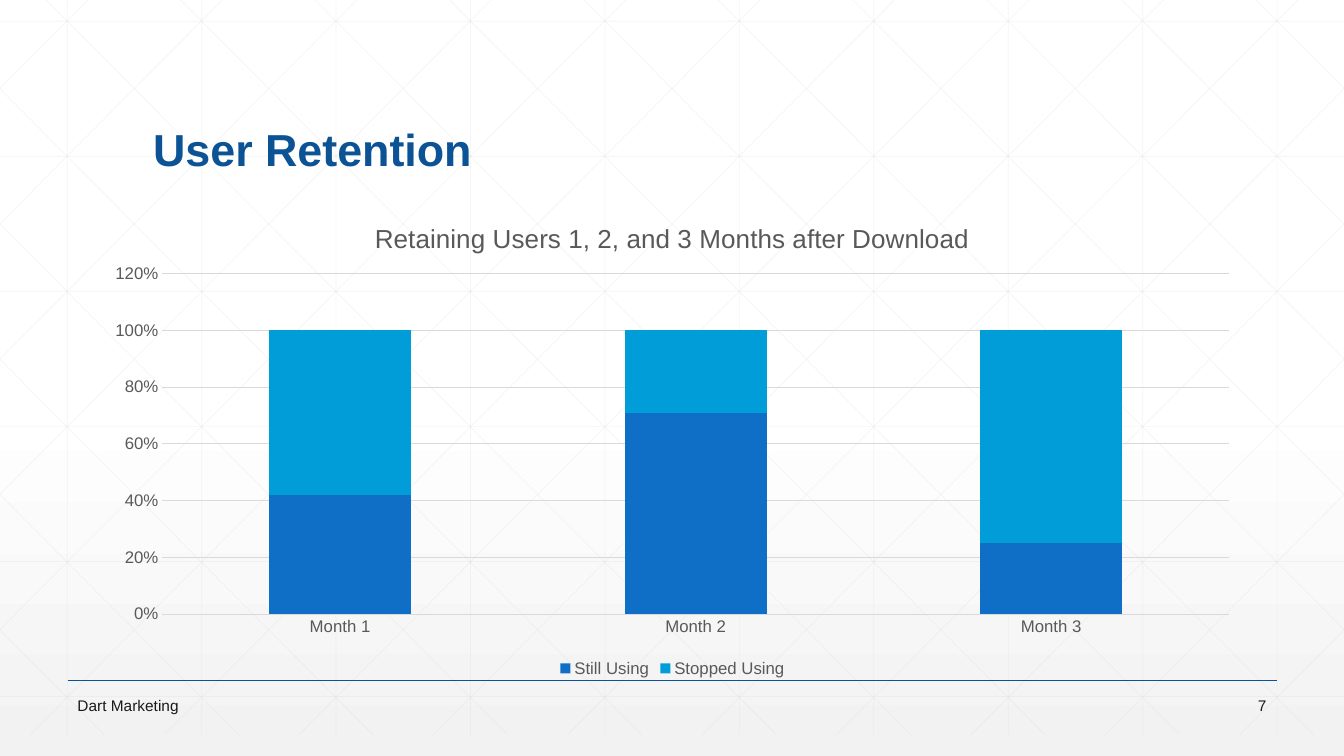
import copy

import pptx
import pptx.chart.data
import pptx.dml.color
import pptx.enum.chart
import pptx.enum.shapes
import pptx.enum.text
import pptx.oxml
import pptx.oxml.ns
import pptx.util

Inches = pptx.util.Inches
Pt = pptx.util.Pt
RGBColor = pptx.dml.color.RGBColor
qn = pptx.oxml.ns.qn
Align = pptx.enum.text.PP_ALIGN
Anchor = pptx.enum.text.MSO_ANCHOR

HEADING = "User Retention"
FOOTER = "Dart Marketing"
PAGE = "7"
CHART_TITLE = "Retaining Users 1, 2, and 3 Months after Download"
MONTHS = ["Month 1", "Month 2", "Month 3"]

NAVY = RGBColor(0x0B, 0x53, 0x94)
BLUE = RGBColor(0x0F, 0x6F, 0xC6)
CYAN = RGBColor(0x00, 0x9D, 0xD9)
INK = RGBColor(0x1A, 0x1A, 0x1A)
GRAY = RGBColor(0x59, 0x59, 0x59)
RULE = RGBColor(0xD9, 0xD9, 0xD9)
WHITE = RGBColor(0xFF, 0xFF, 0xFF)
PALE = RGBColor(0xF2, 0xF2, 0xF2)

USAGE = [
    ("Still Using", [0.42, 0.71, 0.25], BLUE),
    ("Stopped Using", [0.58, 0.29, 0.75], CYAN),
]
BACKDROP = [(0, WHITE), (0.53, WHITE), (1, PALE)]
PLOT_AREA = {"x": 0.06, "y": 0.15, "w": 0.92, "h": 0.71}

FONT = "Arial"
WIDTH, HEIGHT = 13.33, 7.5
MESH_TOP, MESH_BOTTOM = -0.21, 7.29
MESH_STEP = 4 / 3
MESH_RUN = 7.45

deck = pptx.Presentation()
deck.slide_width = Inches(WIDTH)
deck.slide_height = Inches(HEIGHT)
slide = deck.slides.add_slide(deck.slide_layouts[6])


def style_font(font, size, color, bold=False):
    font.name = FONT
    font.size = Pt(size)
    font.color.rgb = color
    font.bold = bold


def add_text(text, box, size, color, bold=False, align=Align.LEFT,
             anchor=Anchor.MIDDLE, spacing=None):
    frame = slide.shapes.add_textbox(*map(Inches, box)).text_frame
    frame.word_wrap = True
    frame.vertical_anchor = anchor
    paragraph = frame.paragraphs[0]
    paragraph.alignment = align
    paragraph.line_spacing = spacing
    run = paragraph.add_run()
    run.text = text
    style_font(run.font, size, color, bold)


def add_line(start, end, color, width, opacity=None):
    line = slide.shapes.add_connector(
        pptx.enum.shapes.MSO_CONNECTOR.STRAIGHT, *map(Inches, start + end))
    line.line.color.rgb = color
    line.line.width = Pt(width)
    properties = line.element.spPr
    if opacity:
        tint = properties.find(".//" + qn("a:srgbClr"))
        tint.append(pptx.oxml.parse_xml(
            f'<a:alpha {pptx.oxml.ns.nsdecls("a")} val="{opacity * 1000}"/>'))
    properties.append(pptx.oxml.parse_xml(
        f'<a:effectLst {pptx.oxml.ns.nsdecls("a")}/>'))


def paint_backdrop():
    fill = slide.background.fill
    fill.gradient()
    fill.gradient_angle = 270
    stops = slide.element.find(".//" + qn("a:gsLst"))
    stops.insert(1, copy.deepcopy(stops[0]))
    for stop, (position, color) in zip(fill.gradient_stops, BACKDROP):
        stop.position = position
        stop.color.rgb = color


def mesh_lines():
    for column in range(10):
        x = MESH_STEP * (column + 0.5)
        yield (x, MESH_TOP), (x, MESH_BOTTOM)
    for row in range(6):
        y = 0.21 + 1.34 * row
        yield (0, y), (WIDTH, y)
    slope = (MESH_BOTTOM - MESH_TOP) / MESH_RUN
    for diagonal in range(-5, 10):
        x = 0.25 + MESH_STEP * diagonal
        left, right = max(x, 0), min(x + MESH_RUN, WIDTH)
        top = MESH_TOP + (left - x) * slope
        bottom = MESH_TOP + (right - x) * slope
        yield (left, top), (right, bottom)
        yield (WIDTH - left, top), (WIDTH - right, bottom)


def add_retention_chart():
    data = pptx.chart.data.CategoryChartData(number_format="0%")
    data.categories = MONTHS
    for name, shares, _ in USAGE:
        data.add_series(name, shares)
    chart = slide.shapes.add_chart(
        pptx.enum.chart.XL_CHART_TYPE.COLUMN_STACKED,
        *map(Inches, (0.92, 2, 11.5, 4.76)), data).chart
    style_font(chart.font, 12, GRAY)

    chart.has_title = True
    heading = chart.chart_title
    heading.include_in_layout = False
    heading.text_frame.text = CHART_TITLE
    style_font(heading.text_frame.paragraphs[0].runs[0].font, 18.6, GRAY)

    chart.has_legend = True
    chart.legend.position = pptx.enum.chart.XL_LEGEND_POSITION.BOTTOM
    chart.legend.include_in_layout = False
    style_font(chart.legend.font, 12, GRAY)

    months, shares = chart.category_axis, chart.value_axis
    for axis in (months, shares):
        axis.major_tick_mark = pptx.enum.chart.XL_TICK_MARK.NONE
        axis.minor_tick_mark = pptx.enum.chart.XL_TICK_MARK.NONE
        style_font(axis.tick_labels.font, 12, GRAY)
    shares.minimum_scale, shares.maximum_scale, shares.major_unit = 0, 1.2, 0.2
    shares.tick_labels.number_format = "0%"
    shares.tick_labels.number_format_is_linked = False
    shares.format.line.fill.background()
    for line in (months.format.line, shares.major_gridlines.format.line):
        line.color.rgb = RULE
        line.width = Pt(0.75)

    plot = chart.plots[0]
    plot.gap_width = 150
    plot.overlap = 100
    plot.vary_by_categories = False
    for series, (_, _, color) in zip(plot.series, USAGE):
        series.format.fill.solid()
        series.format.fill.fore_color.rgb = color

    area = chart.element.find(".//" + qn("c:plotArea"))
    for layout in area.findall(qn("c:layout")):
        area.remove(layout)
    modes = "".join(f'<c:{side}Mode val="edge"/>' for side in "xy")
    sizes = "".join(f'<c:{key} val="{part}"/>' for key, part in PLOT_AREA.items())
    area.insert(0, pptx.oxml.parse_xml(
        f'<c:layout {pptx.oxml.ns.nsdecls("c")}><c:manualLayout>'
        f'<c:layoutTarget val="inner"/>{modes}{sizes}'
        f'</c:manualLayout></c:layout>'))


def main():
    paint_backdrop()
    for start, end in mesh_lines():
        add_line(start, end, RULE, 0.5, opacity=25)
    add_line((0.67, 6.75), (12.67, 6.75), NAVY, 1)
    add_text(HEADING, (1.42, 0.55, 10.5, 1.25), 32, NAVY, bold=True,
             anchor=Anchor.BOTTOM, spacing=0.9)
    add_text(FOOTER, (0.67, 6.88, 6.7, 0.24), 11, INK)
    add_text(PAGE, (11.66, 6.88, 1, 0.24), 11, INK, align=Align.RIGHT)
    add_retention_chart()
    deck.save("out.pptx")


if __name__ == "__main__":
    main()
